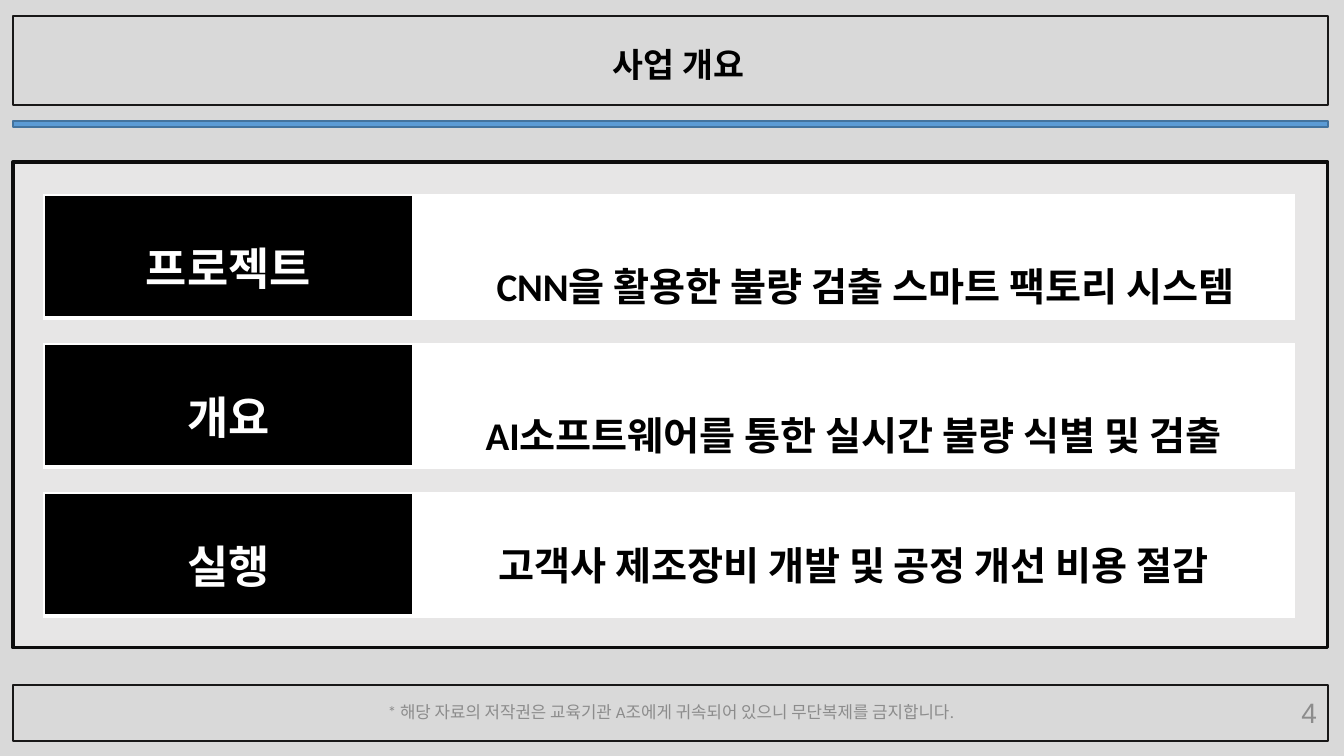
import pptx
import pptx.util
import pptx.oxml
import pptx.dml.color
import pptx.enum.shapes
import pptx.enum.text
import pptx.oxml.ns

RGBColor = pptx.dml.color.RGBColor
ALIGN = pptx.enum.text.PP_ALIGN
ANCHOR = pptx.enum.text.MSO_ANCHOR

BACKGROUND = RGBColor(0xD9, 0xD9, 0xD9)
PANEL = RGBColor(0xE7, 0xE6, 0xE6)
PANEL_LINE = RGBColor(0x0D, 0x0D, 0x0D)
FRAME_LINE = RGBColor(0x18, 0x17, 0x17)
BLUE = RGBColor(0x5B, 0x9B, 0xD5)
BLUE_LINE = RGBColor(0x43, 0x73, 0x9E)
GRAY = RGBColor(0x8C, 0x8C, 0x8C)
BLACK = RGBColor(0, 0, 0)
WHITE = RGBColor(255, 255, 255)

EMU_PER_PIXEL = 12192000 / 1344
BORDERS = {"lnL": 1, "lnR": 1, "lnT": 1, "lnB": 3}
LEFT = 13
WIDTH = 1315
ROW_TOP = 195
ROW_PITCH = 149
ROW_HEIGHT = 123
COLUMN_WIDTHS = (369, 881)

TITLE_FONT = {"name": "Calibri", "size": 24, "bold": True, "color": BLACK}
LABEL_FONT = {"name": "Calibri", "size": 32, "bold": True, "color": WHITE}
VALUE_FONT = {"name": "Calibri", "size": 28, "bold": True, "color": BLACK}
FOOTER_FONT = {"name": "Calibri", "size": 12, "bold": False, "color": GRAY}
NUMBER_FONT = {"name": "Arial", "size": 20, "bold": False, "color": GRAY}

LABEL_CELL = {"vertical_anchor": ANCHOR.MIDDLE, "margin_top": 24}
SPACED_CELL = {"vertical_anchor": ANCHOR.TOP, "margin_top": 5}
MIDDLE_CELL = {"vertical_anchor": ANCHOR.MIDDLE, "margin_top": 22}

ROWS = (
    ("프로젝트", "CNN을 활용한 불량 검출 스마트 팩토리 시스템",
     {**SPACED_CELL, "margin_left": 34}, 2),
    ("개요", "AI소프트웨어를 통한 실시간 불량 식별 및 검출", SPACED_CELL, 2),
    ("실행", "고객사 제조장비 개발 및 공정 개선 비용 절감", MIDDLE_CELL, 1),
)


def px(length):
    return pptx.util.Emu(round(length * EMU_PER_PIXEL))


def set_format(target, values):
    for name, value in values.items():
        setattr(target, name, px(value) if name.startswith("margin_") else value)


def write_text(text_frame, text, font, alignment, line_spacing=1):
    paragraph = text_frame.paragraphs[0]
    set_format(paragraph, {"alignment": alignment, "line_spacing": line_spacing})
    run = paragraph.add_run()
    run.text = text
    for name, value in font.items():
        if name == "color":
            run.font.color.rgb = value
        else:
            setattr(run.font, name, pptx.util.Pt(value) if name == "size" else value)


def set_line(shape, color, width):
    shape.line.color.rgb = color
    shape.line.width = pptx.util.Pt(width)


def add_box(slide, top, height, line, line_width, fill=None):
    shape = slide.shapes.add_shape(
        pptx.enum.shapes.MSO_SHAPE.RECTANGLE, px(LEFT), px(top), px(WIDTH), px(height))
    shape.shadow.inherit = False
    if fill is None:
        shape.fill.background()
    else:
        shape.fill.solid()
        shape.fill.fore_color.rgb = fill
    set_line(shape, line, line_width)


def add_text(slide, box, text, font, alignment):
    shape = slide.shapes.add_textbox(*map(px, box))
    set_format(shape.text_frame, {"word_wrap": True, "vertical_anchor": ANCHOR.MIDDLE})
    write_text(shape.text_frame, text, font, alignment)


def format_title(slide, text):
    title = slide.shapes.title
    set_format(title, {"left": px(LEFT), "top": px(16), "width": px(WIDTH), "height": px(89)})
    set_line(title, FRAME_LINE, 1.5)
    set_format(title.text_frame, {
        "vertical_anchor": ANCHOR.MIDDLE, "margin_left": 26, "margin_top": 18})
    write_text(title.text_frame, text, TITLE_FONT, ALIGN.CENTER, 0.9)


def add_borders(cell):
    properties = cell._tc.get_or_add_tcPr()
    for tag, width in BORDERS.items():
        properties.append(pptx.oxml.parse_xml(
            f'<a:{tag} {pptx.oxml.ns.nsdecls("a")} w="{pptx.util.Pt(width)}">'
            f'<a:solidFill><a:srgbClr val="{WHITE}"/></a:solidFill></a:{tag}>'))


def fill_cell(cell, text, font, fill, layout, line_spacing=1):
    add_borders(cell)
    cell.fill.solid()
    cell.fill.fore_color.rgb = fill
    set_format(cell, layout)
    write_text(cell.text_frame, text, font, ALIGN.CENTER, line_spacing)


def add_row(slide, index, label, value, value_layout, line_spacing):
    frame = slide.shapes.add_table(
        1, 2, px(44), px(ROW_TOP + index * ROW_PITCH), px(sum(COLUMN_WIDTHS)), px(ROW_HEIGHT))
    table = frame.table
    set_format(table, {"first_row": False, "horz_banding": False})
    for column, width in zip(table.columns, COLUMN_WIDTHS):
        column.width = px(width)
    fill_cell(table.cell(0, 0), label, LABEL_FONT, BLACK, LABEL_CELL)
    fill_cell(table.cell(0, 1), value, VALUE_FONT, WHITE, value_layout, line_spacing)


def main():
    presentation = pptx.Presentation()
    set_format(presentation, {"slide_width": px(1344), "slide_height": px(756)})
    slide = presentation.slides.add_slide(presentation.slide_layouts[5])
    slide.background.fill.solid()
    slide.background.fill.fore_color.rgb = BACKGROUND

    format_title(slide, "사업 개요")
    add_box(slide, 121, 6, BLUE_LINE, 1, BLUE)
    add_text(slide, (1025, 692, 302, 40), "4", NUMBER_FONT, ALIGN.RIGHT)
    add_box(slide, 162, 486, PANEL_LINE, 2.25, PANEL)
    for index, row in enumerate(ROWS):
        add_row(slide, index, *row)
    add_box(slide, 685, 56, FRAME_LINE, 1.5)
    add_text(slide, (355, 688, 632, 48),
             "* 해당 자료의 저작권은 교육기관 A조에게 귀속되어 있으니 무단복제를 금지합니다.",
             FOOTER_FONT, ALIGN.CENTER)
    presentation.save("out.pptx")


if __name__ == "__main__":
    main()
